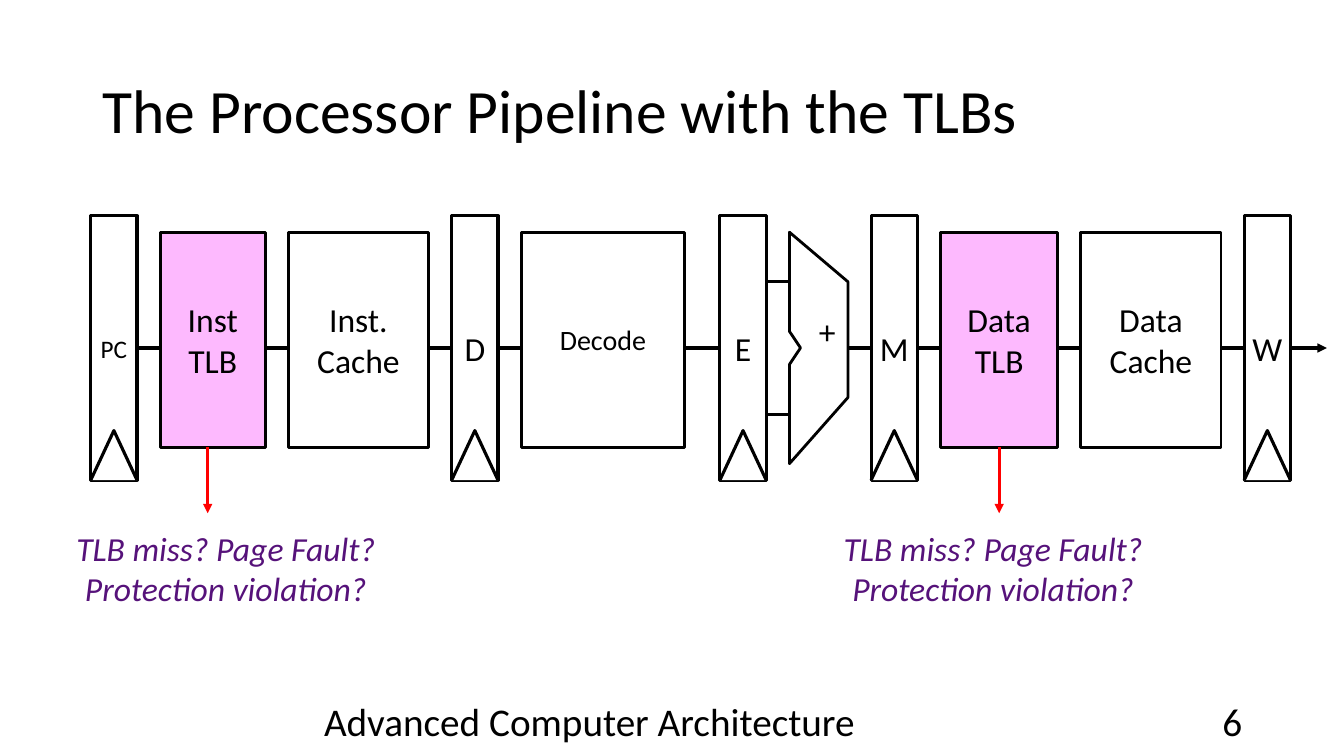
from lxml import etree
from pptx import Presentation
from pptx.dml.color import RGBColor
from pptx.enum.shapes import MSO_CONNECTOR as Connector, MSO_SHAPE as Preset
from pptx.enum.text import MSO_ANCHOR as Anchor, PP_ALIGN as Align
from pptx.oxml.ns import qn
from pptx.util import Inches, Pt

# Content
TITLE = "The Processor Pipeline with the TLBs"
FOOTER = "Advanced Computer Architecture"
PAGE = "6"
FAULTS = ["TLB miss? Page Fault?", "Protection violation?"]
COLORS = {"ink": "000000", "paper": "FFFFFF", "tlb": "FDB9FE",
          "alarm": "FF0000", "fault": "56127A"}
FONT = "Calibri"

# Stages from left to right: kind, label, width, text size
STAGES = [
    ("register", "PC", 0.46, 18),
    ("tlb", "Inst TLB", 1.04, 24),
    ("cache", "Inst. Cache", 1.39, 24),
    ("register", "D", 0.46, 24),
    ("decode", "Decode", 1.62, 20),
    ("register", "E", 0.46, 24),
    ("alu", "+", 0.58, 24),
    ("register", "M", 0.46, 24),
    ("tlb", "Data TLB", 1.16, 24),
    ("cache", "Data Cache", 1.39, 24),
    ("register", "W", 0.46, 24),
]
# Exits of the TLBs: stage, arrow x, caption left
EXITS = [("Inst TLB", 2.06, -0.04), ("Data TLB", 9.92, 7.57)]

# Grid: registers are 16 rows tall, the data path runs along row 8
LEFT, TOP, ROW = 0.9, 2.14, 0.164
GAP, GAP_BEFORE_E = 0.23, 0.35
PATH_ROW, PATH_END = 8, 13.16

presentation = Presentation()
presentation.slide_width, presentation.slide_height = Inches(13.33), Inches(7.5)
slide = presentation.slides.add_slide(presentation.slide_layouts[6])


def rgb(name):
    return RGBColor.from_string(COLORS[name])


def row_y(row):
    return TOP + row * ROW


def write(shape, lines, size, align=Align.CENTER, color="ink", wrap=True, inset=None):
    frame = shape.text_frame
    frame.word_wrap = wrap
    frame.vertical_anchor = Anchor.MIDDLE
    if inset is not None:
        frame.margin_left = frame.margin_right = Inches(inset)
        frame.margin_top = frame.margin_bottom = Inches(inset)
    frame.text = "\n".join(lines)
    for paragraph in frame.paragraphs:
        paragraph.alignment = align
        paragraph.font.name, paragraph.font.size = FONT, Pt(size)
        paragraph.font.color.rgb = rgb(color)
    return frame.paragraphs


def add_text(box, lines, size, **style):
    return write(slide.shapes.add_textbox(*map(Inches, box)), lines, size, **style)


def paint(shape, fill="paper", width=2.25):
    shape.shadow.inherit = False
    shape.fill.solid()
    shape.fill.fore_color.rgb = rgb(fill)
    shape.line.color.rgb = rgb("ink")
    shape.line.width = Pt(width)


def add_outline(points, close, width):
    corners = [(Inches(x), Inches(y)) for x, y in points]
    builder = slide.shapes.build_freeform(*corners[0])
    builder.add_line_segments(corners[1:], close=close)
    paint(builder.convert_to_shape(), width=width)


def add_wire(start, end, color="ink", arrow=False):
    wire = slide.shapes.add_connector(Connector.STRAIGHT, *map(Inches, start + end))
    wire.line.color.rgb = rgb(color)
    wire.line.width = Pt(2.25)
    if arrow:
        etree.SubElement(wire.line._get_or_add_ln(), qn("a:tailEnd"), type="triangle")
    etree.SubElement(wire._element.spPr, qn("a:effectLst"))
    return wire


def add_box(left, width, top_row, bottom_row):
    return slide.shapes.add_shape(Preset.RECTANGLE, Inches(left), Inches(row_y(top_row)),
                                  Inches(width), Inches((bottom_row - top_row) * ROW))


def add_register(left, width, label, size):
    box = add_box(left, width, 0, 16)
    paint(box)
    write(box, [label], size, wrap=False)
    add_outline([(left, row_y(16)), (left + width / 2, row_y(13)),
                 (left + width, row_y(16))], close=False, width=2.25)
    return box


def add_block(kind, left, width, label, size):
    box = add_box(left, width, 1, 14)
    if kind == "tlb":
        paint(box, fill="tlb")
    else:
        paint(box, width=2)
    write(box, [label], size, inset=None if kind == "decode" else 0)
    return box


def add_alu(left, width):
    right, notch = left + width, left + 0.11
    outline = [(left, 1), (left, 7), (notch, 8), (left, 9), (left, 15),
               (right, 11), (right, 4)]
    add_outline([(x, row_y(row)) for x, row in outline], close=True, width=2)


# Stage positions
spans, x = {}, LEFT
for kind, label, width, size in STAGES:
    if label == "E":
        x += GAP_BEFORE_E - GAP
    spans[label] = (x, width)
    x += width + GAP
alu_left, alu_width = spans["+"]
execute_left, execute_width = spans["E"]

# Title, footer and page number
heading = add_text((0.92, 0.4, 11.5, 1.45), [TITLE], 44, align=Align.LEFT)
heading[0].line_spacing = 0.9
add_text((9.42, 6.95, 3, 0.4), [PAGE], 28, align=Align.RIGHT)
add_text((2.82, 6.95, 6.05, 0.4), [FOOTER], 28)

# Data path, behind the stages
path_y = row_y(PATH_ROW)
add_wire((alu_left + alu_width, path_y), (PATH_END, path_y), arrow=True)
front_path = add_wire((LEFT + spans["PC"][1], path_y), (execute_left, path_y))

# Stages
boxes = {}
for kind, label, width, size in STAGES:
    left = spans[label][0]
    if kind == "register":
        boxes[label] = add_register(left, width, label, size)
    elif kind == "alu":
        add_alu(left, width)
    else:
        boxes[label] = add_block(kind, left, width, label, size)
front_path.begin_connect(boxes["PC"], 3)
front_path.end_connect(boxes["E"], 1)

# ALU inputs and sign
for row in (4, 12):
    add_wire((execute_left + execute_width, row_y(row)), (alu_left, row_y(row)))
add_text((7.95, row_y(4), 0.51, 6 * ROW), ["+"], 24, wrap=False)

# TLB exits
for label, arrow_x, caption_left in EXITS:
    arrow = add_wire((arrow_x, row_y(14)), (arrow_x, row_y(18)), color="alarm", arrow=True)
    left, width = spans[label]
    if abs(left + width / 2 - arrow_x) < 0.02:
        arrow.begin_connect(boxes[label], 2)
        arrow.end_x = arrow.begin_x
    for paragraph in add_text((caption_left, 4.74, 4.56, 1.79), FAULTS, 24,
                              color="fault", wrap=False):
        paragraph.font.italic = True

presentation.save("out.pptx")
